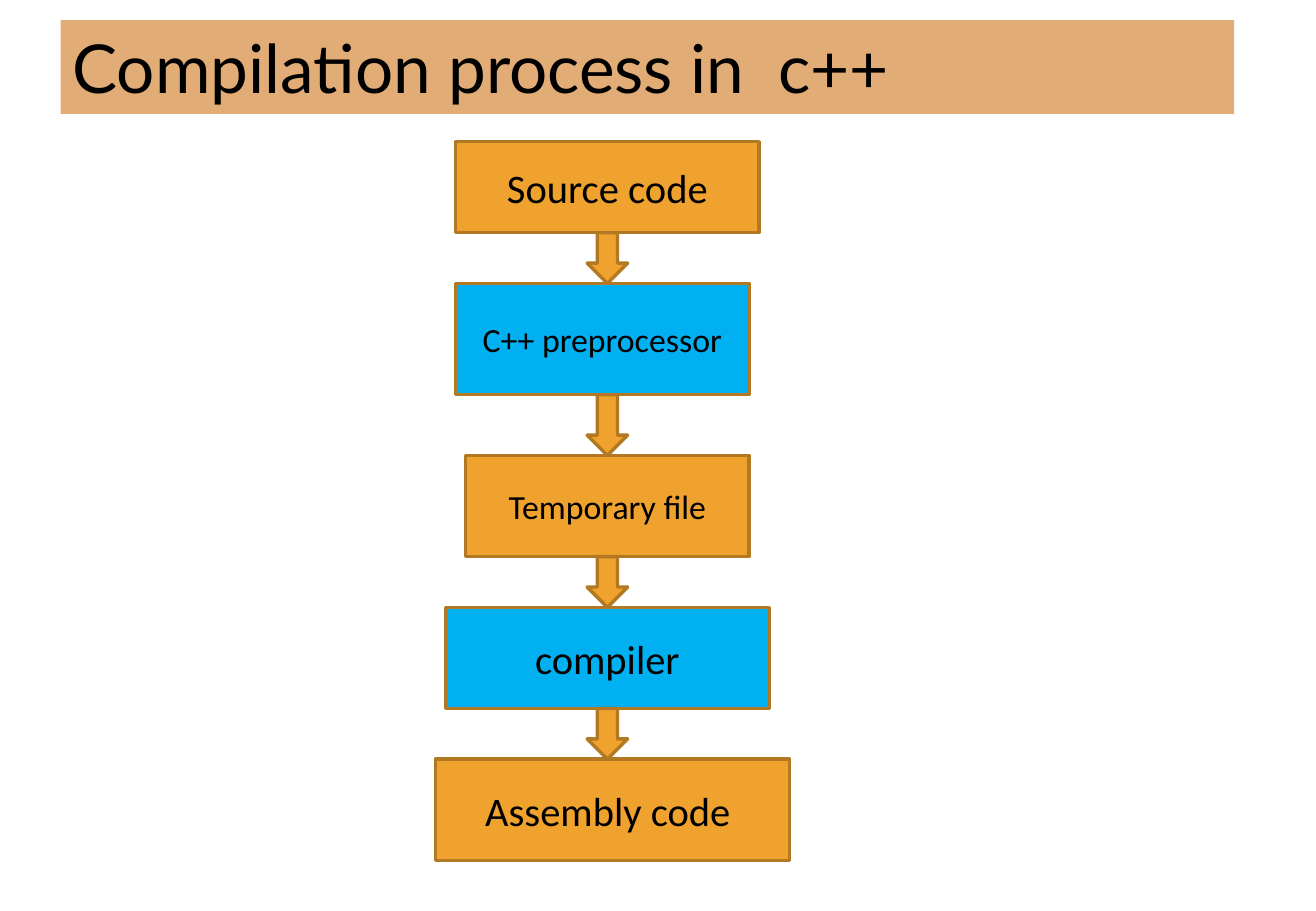
from dataclasses import dataclass
from itertools import pairwise

from pptx import Presentation
from pptx.dml.color import RGBColor
from pptx.enum import shapes, text
from pptx.util import Pt


@dataclass(frozen=True)
class Theme:
    """Colours, fonts and sizes of the slide."""
    banner: str = "E2AC76"
    file: str = "F0A22E"
    tool: str = "00B0F0"
    outline: str = "B27822"
    ink: str = "000000"
    title_font: str = "Lato"
    body_font: str = "Calibri"
    title_size: int = 40
    large: int = 24
    small: int = 20
    outline_width: int = 2


THEME = Theme()
ARROW_LEFT, ARROW_WIDTH = 348, 24

# label, left, top, width, height, fill, type size
STAGES = [
    ("Source code", 270, 84, 180, 54, THEME.file, THEME.large),
    ("C++ preprocessor", 270, 168, 174, 66, THEME.tool, THEME.small),
    ("Temporary file", 276, 270, 168, 60, THEME.file, THEME.small),
    ("compiler", 264, 360, 192, 60, THEME.tool, THEME.large),
    ("Assembly code ", 258, 450, 210, 60, THEME.file, THEME.large),
]


def add_block(slide, preset, left, top, width, height, fill, outline=None):
    """Add a flat preset shape, placed in points, with an optional outline."""
    block = slide.shapes.add_shape(preset, Pt(left), Pt(top), Pt(width), Pt(height))
    block.shadow.inherit = False
    block.fill.solid()
    block.fill.fore_color.rgb = RGBColor.from_string(fill)
    if outline:
        block.line.color.rgb = RGBColor.from_string(outline)
        block.line.width = Pt(THEME.outline_width)
    else:
        block.line.fill.background()
    return block


def write(block, words, *, size, font=THEME.body_font, color=THEME.ink,
          align=text.PP_ALIGN.CENTER, anchor=text.MSO_ANCHOR.MIDDLE):
    """Put one formatted line of text into a shape."""
    frame = block.text_frame
    frame.word_wrap = True
    frame.vertical_anchor = anchor
    line = frame.paragraphs[0]
    line.alignment = align
    run = line.add_run()
    run.text = words
    run.font.size = Pt(size)
    run.font.name = font
    run.font.color.rgb = RGBColor.from_string(color)


def add_title(slide, words):
    """Add the banner that carries the slide title."""
    banner = add_block(slide, shapes.MSO_SHAPE.RECTANGLE, 36, 12, 695.5, 55.5,
                       THEME.banner)
    write(banner, words, size=THEME.title_size, font=THEME.title_font,
          align=text.PP_ALIGN.LEFT, anchor=text.MSO_ANCHOR.TOP)
    banner.text_frame.auto_size = text.MSO_AUTO_SIZE.SHAPE_TO_FIT_TEXT


def add_stage(slide, label, left, top, width, height, fill, size):
    """Add one labelled step of the compilation process."""
    stage = add_block(slide, shapes.MSO_SHAPE.RECTANGLE, left, top, width, height,
                      fill, THEME.outline)
    write(stage, label, size=size)


def add_arrow(slide, top, bottom):
    """Add a down arrow that fills the gap between two stages."""
    add_block(slide, shapes.MSO_SHAPE.DOWN_ARROW, ARROW_LEFT, top, ARROW_WIDTH,
              bottom - top, THEME.file, THEME.outline)


def main():
    """Build the slide and save it."""
    deck = Presentation()
    deck.slide_width, deck.slide_height = Pt(780), Pt(540)
    slide = deck.slides.add_slide(deck.slide_layouts[6])

    add_title(slide, "Compilation process in  c++")
    for stage in STAGES:
        add_stage(slide, *stage)
    for (_, _, top, _, height, *_), (_, _, next_top, *_) in pairwise(STAGES):
        add_arrow(slide, top + height, next_top)

    deck.save("out.pptx")


main()
